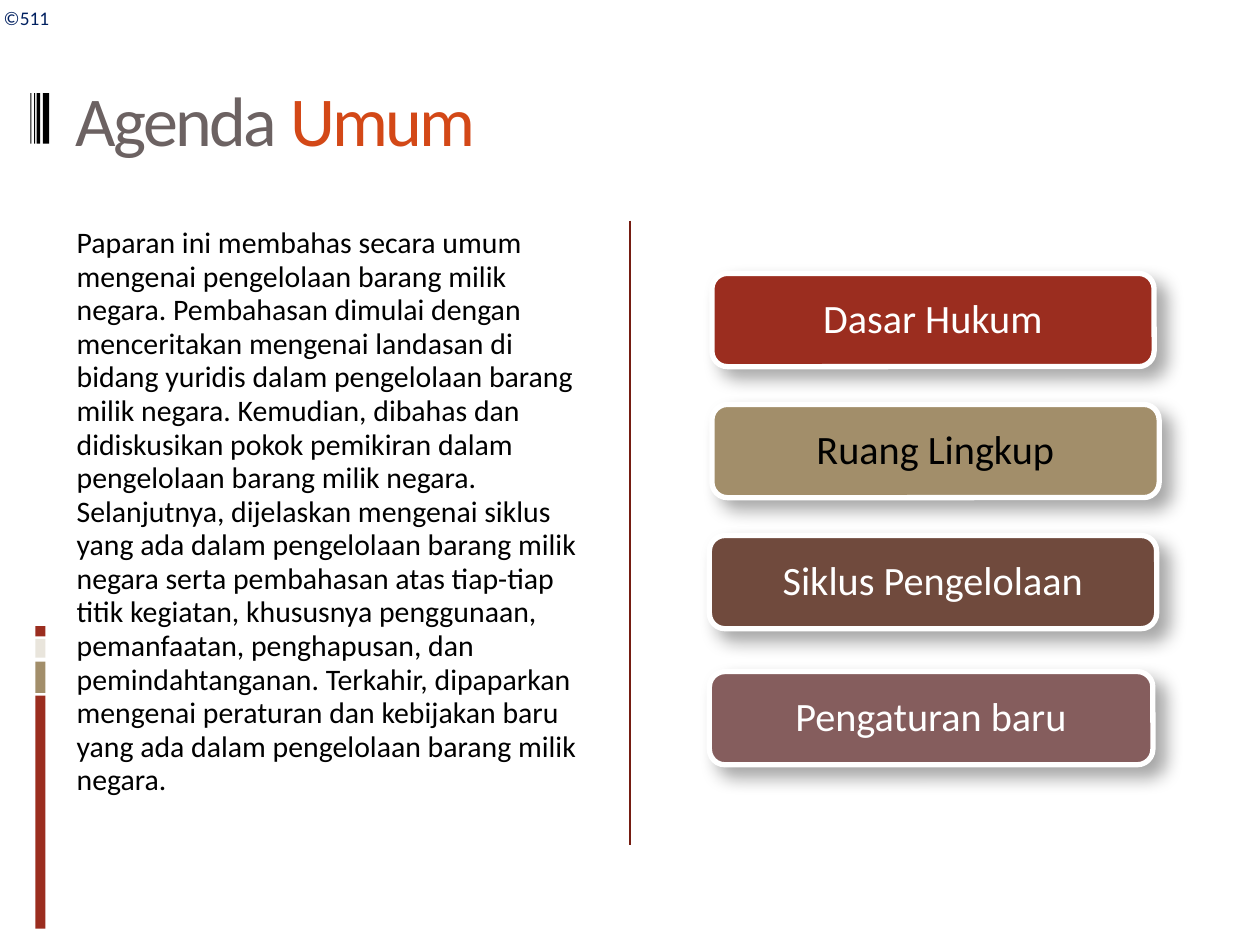
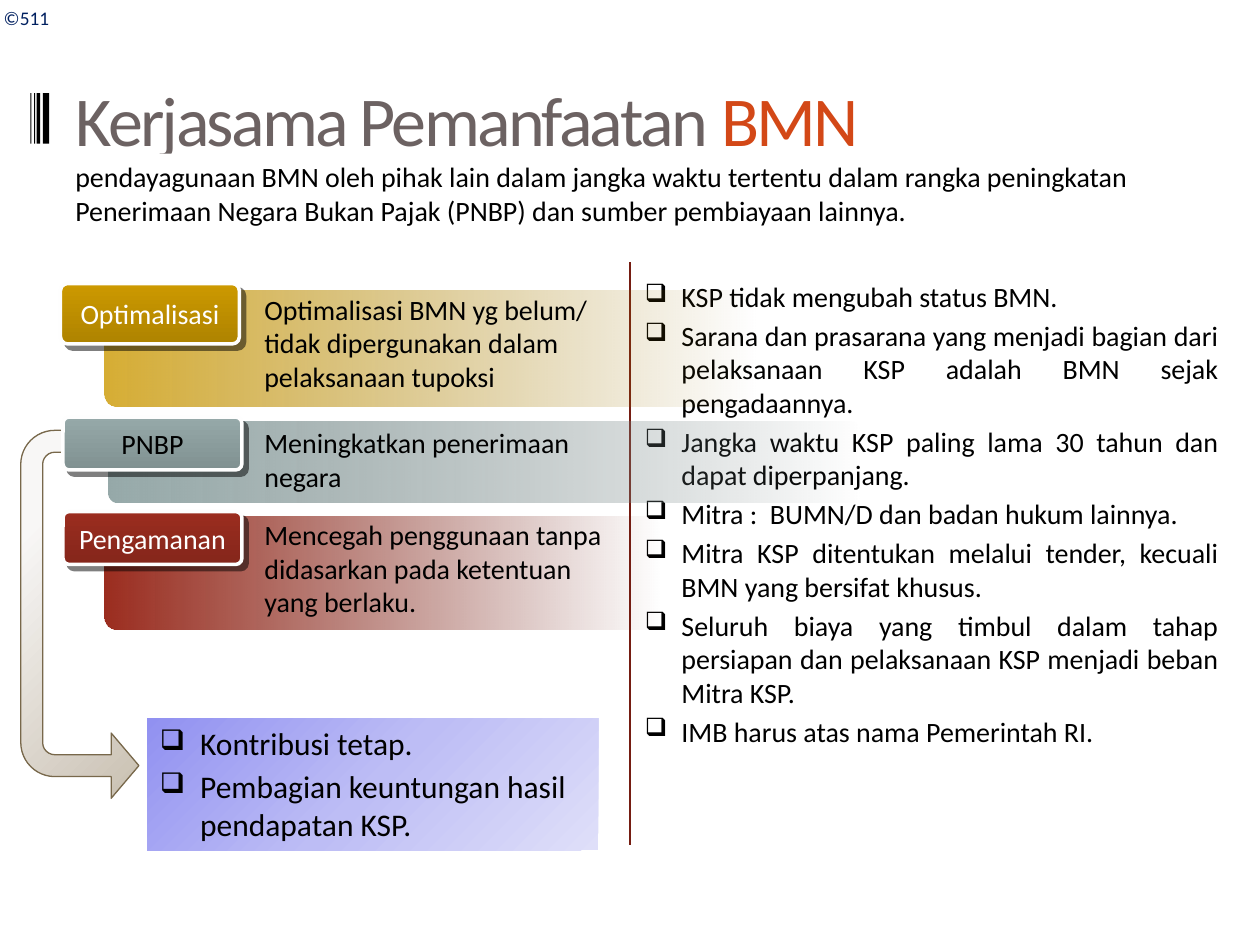
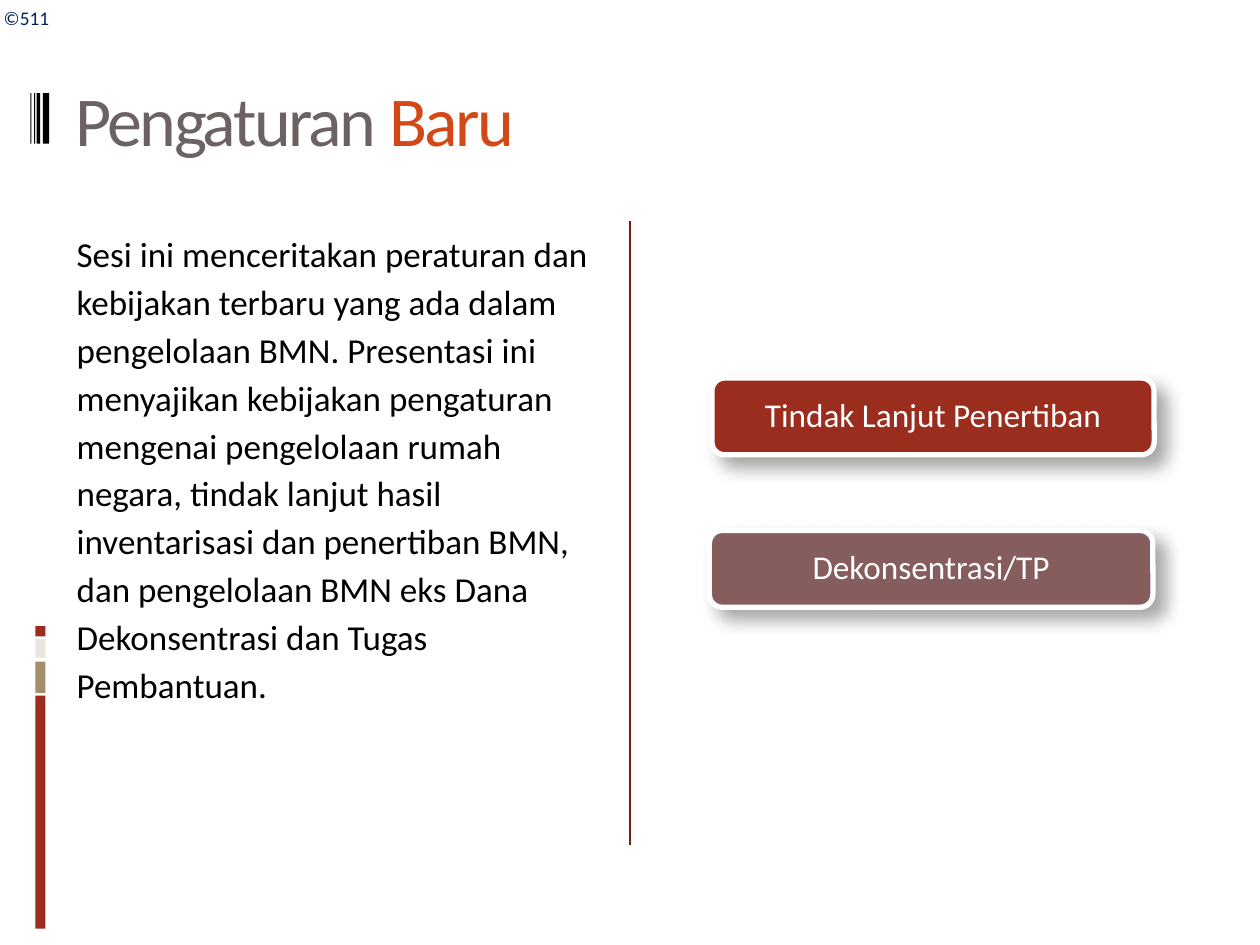
from dataclasses import dataclass
from typing import Optional

from lxml.etree import SubElement
from pptx import Presentation
from pptx.dml.color import RGBColor
from pptx.enum.shapes import MSO_CONNECTOR, MSO_SHAPE
from pptx.enum.text import MSO_ANCHOR, MSO_AUTO_SIZE, PP_ALIGN
from pptx.oxml.ns import qn
from pptx.util import Inches, Pt


@dataclass(frozen=True)
class Theme:
    font: str = "Calibri"
    black: str = "000000"
    white: str = "FFFFFF"
    red: str = "9B2D1F"
    tan: str = "A28E6A"
    cream: str = "E9E5DC"
    brown: str = "704A3D"
    mauve: str = "855D5D"
    gold: str = "CC9900"
    sage: str = "96A9A9"
    title: str = "6C6262"
    accent: str = "D34817"
    divider: str = "751D12"
    copyright: str = "002060"
    chip_edge: str = "FEFEFE"
    arrow_edge: str = "78684B"
    title_size: float = 40
    card_size: float = 23
    small_card_size: float = 19
    list_size: float = 18
    text_size: float = 16
    copyright_size: float = 11


THEME = Theme()


@dataclass(frozen=True)
class Box:
    left: float
    top: float
    width: float
    height: float

    def place(self) -> tuple:
        return tuple(Inches(value) for value in (self.left, self.top, self.width, self.height))


@dataclass(frozen=True)
class Bar:
    box: Box
    color: str


@dataclass(frozen=True)
class Stop:
    position: int
    color: str
    alpha: int = 100


@dataclass(frozen=True)
class Shadow:
    alpha: int
    blur: float
    distance: float


@dataclass(frozen=True)
class Card:
    text: str
    box: Box
    fill: str
    color: str = THEME.white


@dataclass(frozen=True)
class Purpose:
    label: str
    label_color: str
    chip: Box
    chip_end: str
    band: Box
    band_end: str
    color: str
    detail: str
    detail_box: Box
    band_alpha: int = 100


CARD_SHADOW = Shadow(35, 10.2, 8)
CHIP_SHADOW = Shadow(50, 0, 4.2)

SIDE_BARS = [
    Bar(Box(0.28, 5.52, 0.08, 1.85), THEME.red),
    Bar(Box(0.28, 5.25, 0.08, 0.25), THEME.tan),
    Bar(Box(0.28, 5.07, 0.08, 0.15), THEME.cream),
    Bar(Box(0.28, 4.97, 0.08, 0.08), THEME.red),
]
TITLE_BARS = [
    Bar(Box(left, 0.74, width, 0.4), THEME.black)
    for left, width in ((0.34, 0.05), (0.29, 0.03), (0.27, 0.01), (0.24, 0.01))
]

AGENDA_TEXT = (
    "Paparan ini membahas secara umum mengenai pengelolaan barang milik negara. "
    "Pembahasan dimulai dengan menceritakan mengenai landasan di bidang yuridis dalam "
    "pengelolaan barang milik negara. Kemudian, dibahas dan didiskusikan pokok pemikiran "
    "dalam pengelolaan barang milik negara. Selanjutnya, dijelaskan mengenai siklus yang "
    "ada dalam pengelolaan barang milik negara serta pembahasan atas tiap-tiap titik "
    "kegiatan, khususnya penggunaan, pemanfaatan, penghapusan, dan pemindahtanganan. "
    "Terkahir, dipaparkan mengenai peraturan dan kebijakan baru yang ada dalam "
    "pengelolaan barang milik negara."
)
AGENDA_CARDS = [
    Card("Dasar Hukum", Box(5.65, 2.17, 3.51, 0.74), THEME.red),
    Card("Ruang Lingkup", Box(5.65, 3.21, 3.55, 0.74), THEME.tan, THEME.black),
    Card("Siklus Pengelolaan", Box(5.63, 4.25, 3.55, 0.74), THEME.brown),
    Card("Pengaturan baru", Box(5.63, 5.33, 3.52, 0.74), THEME.mauve),
]

PARTNERSHIP_TEXT = (
    "pendayagunaan BMN oleh pihak lain dalam jangka waktu tertentu dalam rangka "
    "peningkatan Penerimaan Negara Bukan Pajak (PNBP) dan sumber pembiayaan lainnya."
)
PARTNERSHIP_RULES = [
    "KSP tidak mengubah status BMN.",
    "Sarana dan prasarana yang menjadi bagian dari pelaksanaan KSP adalah BMN sejak pengadaannya.",
    "Jangka waktu KSP paling lama 30 tahun dan dapat diperpanjang.",
    "Mitra :  BUMN/D dan badan hukum lainnya.",
    "Mitra KSP ditentukan melalui tender, kecuali BMN yang bersifat khusus.",
    "Seluruh biaya yang timbul dalam tahap persiapan dan pelaksanaan KSP menjadi beban Mitra KSP.",
    "IMB harus atas nama Pemerintah RI.",
]
REVENUES = ["Kontribusi tetap.", "Pembagian keuntungan hasil pendapatan KSP."]
PURPOSES = [
    Purpose(
        "PNBP", THEME.black, Box(0.5, 3.31, 1.42, 0.42), "809191",
        Box(0.86, 3.35, 5.97, 0.64), "6B7979", THEME.sage,
        "Meningkatkan penerimaan negara", Box(2, 3.33, 2.92, 0.64),
    ),
    Purpose(
        "Pengamanan", THEME.white, Box(0.5, 4.06, 1.42, 0.42), "85261B",
        Box(0.83, 4.1, 4.41, 0.9), "6F2016", THEME.red,
        "Mencegah penggunaan tanpa didasarkan pada ketentuan yang berlaku.",
        Box(2, 4.06, 2.92, 0.91),
    ),
    Purpose(
        "Optimalisasi", THEME.white, Box(0.48, 2.25, 1.42, 0.48), "AE8300",
        Box(0.83, 2.31, 5.17, 0.92), "926D00", THEME.gold,
        "Optimalisasi BMN yg belum/ tidak dipergunakan dalam pelaksanaan tupoksi",
        Box(2, 2.27, 3.17, 0.91), 80,
    ),
]

REGULATION_TEXT = (
    "Sesi ini menceritakan peraturan dan kebijakan terbaru yang ada dalam pengelolaan BMN. "
    "Presentasi ini menyajikan kebijakan pengaturan mengenai pengelolaan rumah negara, "
    "tindak lanjut hasil inventarisasi dan penertiban BMN, dan pengelolaan BMN eks Dana "
    "Dekonsentrasi dan Tugas Pembantuan."
)
REGULATION_CARDS = [
    Card("Tindak Lanjut Penertiban", Box(5.65, 3, 3.51, 0.61), THEME.red),
    Card("Dekonsentrasi/TP", Box(5.63, 4.21, 3.52, 0.61), THEME.mauve),
]


def format_font(font, size: float, color: str) -> None:
    font.name = THEME.font
    font.size = Pt(size)
    font.color.rgb = RGBColor.from_string(color)


def add_bullet(paragraph, indent: float) -> None:
    properties = paragraph._p.get_or_add_pPr()
    properties.set("marL", str(Inches(indent)))
    properties.set("indent", str(-Inches(indent)))
    SubElement(properties, qn("a:buSzPct"), val="90000")
    SubElement(properties, qn("a:buChar"), char="❑")


def write_text(shape, *texts: str, size: float = THEME.text_size, color: str = THEME.black,
               align=PP_ALIGN.LEFT, anchor=MSO_ANCHOR.TOP, line_spacing: Optional[float] = None,
               gap: float = 0, bullet_indent: float = 0) -> None:
    frame = shape.text_frame
    frame.word_wrap = True
    frame.vertical_anchor = anchor
    for index, text in enumerate(texts):
        paragraph = frame.add_paragraph() if index else frame.paragraphs[0]
        paragraph.alignment = align
        if line_spacing:
            paragraph.line_spacing = line_spacing
        if index:
            paragraph.space_before = Pt(gap)
        if bullet_indent:
            add_bullet(paragraph, bullet_indent)
        run = paragraph.add_run()
        run.text = text
        format_font(run.font, size, color)


def add_text(slide, box: Box, *texts: str, **text_format):
    shape = slide.shapes.add_textbox(*box.place())
    write_text(shape, *texts, **text_format)
    return shape


def add_shape(slide, kind, box: Box, fill: Optional[str] = None, line: Optional[str] = None,
              line_width: float = 0, shadow: Optional[Shadow] = None):
    shape = slide.shapes.add_shape(kind, *box.place())
    if fill:
        shape.fill.solid()
        shape.fill.fore_color.rgb = RGBColor.from_string(fill)
    if line:
        shape.line.color.rgb = RGBColor.from_string(line)
        shape.line.width = Pt(line_width)
    else:
        shape.line.fill.background()
    shape.shadow.inherit = False
    if shadow:
        effects = shape._element.spPr.find(qn("a:effectLst"))
        outer = SubElement(effects, qn("a:outerShdw"), blurRad=str(Pt(shadow.blur)),
                           dist=str(Pt(shadow.distance)), dir="2700000", algn="tl", rotWithShape="0")
        add_color(outer, THEME.black, shadow.alpha)
    return shape


def add_color(parent, color: str, alpha: int) -> None:
    element = SubElement(parent, qn("a:srgbClr"), val=color)
    if alpha < 100:
        SubElement(element, qn("a:alpha"), val=str(alpha * 1000))


def set_gradient(shape, *stops: Stop, angle: int = 0, focus: Optional[tuple] = None) -> None:
    shape.fill.background()
    properties = shape._element.spPr
    empty_fill = properties.find(qn("a:noFill"))
    gradient = SubElement(properties, qn("a:gradFill"), rotWithShape="1")
    properties.replace(empty_fill, gradient)
    stop_list = SubElement(gradient, qn("a:gsLst"))
    for stop in stops:
        element = SubElement(stop_list, qn("a:gs"), pos=str(stop.position * 1000))
        add_color(element, stop.color, stop.alpha)
    if focus:
        circle = SubElement(gradient, qn("a:path"), {"path": "circle"})
        edges = {edge: str(value * 1000) for edge, value in zip("ltrb", focus)}
        SubElement(circle, qn("a:fillToRect"), edges)
    else:
        SubElement(gradient, qn("a:lin"), ang=str(angle * 60000), scaled="1")


def add_divider(slide) -> None:
    divider = slide.shapes.add_connector(
        MSO_CONNECTOR.STRAIGHT, Inches(5), Inches(1.75), Inches(5), Inches(6.71))
    divider.line.color.rgb = RGBColor.from_string(THEME.divider)
    divider.line.width = Pt(0.75)
    SubElement(divider._element.spPr, qn("a:effectLst"))


def set_title(slide, start: str, highlight: str) -> None:
    title = slide.shapes.title
    title.left, title.top, title.width, title.height = Box(0.5, 0.23, 9, 1.42).place()
    frame = title.text_frame
    frame.auto_size = MSO_AUTO_SIZE.NONE
    frame.vertical_anchor = MSO_ANCHOR.MIDDLE
    paragraph = frame.paragraphs[0]
    paragraph.alignment = PP_ALIGN.LEFT
    for text, color in ((f"{start} ", THEME.title), (highlight, THEME.accent)):
        run = paragraph.add_run()
        run.text = text
        format_font(run.font, THEME.title_size, color)
        run._r.get_or_add_rPr().set("spc", "-150")


def start_slide(presentation, start: str, highlight: str, side_bars: bool = True):
    slide = presentation.slides.add_slide(presentation.slide_layouts[5])
    for bar in (SIDE_BARS if side_bars else []) + TITLE_BARS:
        add_shape(slide, MSO_SHAPE.RECTANGLE, bar.box, fill=bar.color)
    copyright_box = add_text(slide, Box(0, 0, 0.54, 0.29), "©511",
                             size=THEME.copyright_size, color=THEME.copyright)
    copyright_box.text_frame.margin_left = Inches(0.03)
    add_divider(slide)
    set_title(slide, start, highlight)
    return slide


def add_card(slide, card: Card, size: float) -> None:
    shape = add_shape(slide, MSO_SHAPE.ROUNDED_RECTANGLE, card.box, fill=card.fill,
                      line=THEME.white, line_width=3, shadow=CARD_SHADOW)
    write_text(shape, card.text, size=size, color=card.color, align=PP_ALIGN.CENTER,
               anchor=MSO_ANCHOR.MIDDLE, line_spacing=0.9)


def add_band(slide, purpose: Purpose) -> None:
    band = add_shape(slide, MSO_SHAPE.ROUNDED_RECTANGLE, purpose.band)
    band.adjustments[0] = 0.115
    set_gradient(band, Stop(0, purpose.color, purpose.band_alpha), Stop(100, purpose.band_end, 0))


def add_chip(slide, purpose: Purpose) -> None:
    chip = add_shape(slide, MSO_SHAPE.ROUNDED_RECTANGLE, purpose.chip,
                     line=THEME.chip_edge, line_width=2, shadow=CHIP_SHADOW)
    chip.adjustments[0] = 0.119
    set_gradient(chip, Stop(0, purpose.color), Stop(100, purpose.chip_end), angle=90)
    write_text(chip, purpose.label, color=purpose.label_color,
               align=PP_ALIGN.CENTER, anchor=MSO_ANCHOR.MIDDLE)
    add_text(slide, purpose.detail_box, purpose.detail)


def add_return_arrow(slide) -> None:
    arrow = add_shape(slide, MSO_SHAPE.U_TURN_ARROW, Box(-0.67, 4.25, 2.92, 1.25),
                      line=THEME.arrow_edge, line_width=0.75)
    arrow.rotation = 90
    arrow._element.spPr.find(qn("a:xfrm")).set("flipV", "1")
    for index, value in enumerate((0.139, 0.207, 0.176, 0.216, 0.75)):
        arrow.adjustments[index] = value
    set_gradient(arrow, Stop(20, "F8F7F6"), Stop(100, "C4BAAA"), focus=(-15, -15, 115, 115))


def build_agenda(presentation) -> None:
    slide = start_slide(presentation, "Agenda", "Umum")
    add_text(slide, Box(0.51, 1.75, 4.32, 4.95), AGENDA_TEXT, size=17, line_spacing=0.94)
    for card in AGENDA_CARDS:
        add_card(slide, card, THEME.card_size)


def build_partnership(presentation) -> None:
    slide = start_slide(presentation, "Kerjasama Pemanfaatan", "BMN", side_bars=False)
    add_return_arrow(slide)
    summary = add_shape(slide, MSO_SHAPE.RECTANGLE, Box(0.5, 1.22, 9.33, 0.86), fill=THEME.white)
    write_text(summary, PARTNERSHIP_TEXT)
    add_text(slide, Box(5.02, 2.17, 4.75, 4.17), *PARTNERSHIP_RULES,
             align=PP_ALIGN.JUSTIFY, gap=3, bullet_indent=0.29)
    for purpose in PURPOSES:
        add_band(slide, purpose)
    for purpose in PURPOSES:
        add_chip(slide, purpose)
    revenue = add_shape(slide, MSO_SHAPE.RECTANGLE, Box(1.17, 5.7, 3.58, 1.05))
    set_gradient(revenue, Stop(0, "9191F1"), Stop(50, "BDBDF5"), Stop(100, "DFDFF9"),
                 focus=(0, 0, 100, 100))
    write_text(revenue, *REVENUES, size=THEME.list_size, gap=3, bullet_indent=0.32)


def build_regulation(presentation) -> None:
    slide = start_slide(presentation, "Pengaturan", "Baru")
    add_text(slide, Box(0.51, 1.75, 4.42, 4.95), REGULATION_TEXT, size=20, line_spacing=1.14)
    for card in REGULATION_CARDS:
        add_card(slide, card, THEME.small_card_size)


def main() -> None:
    presentation = Presentation()
    presentation.slide_width = Inches(10)
    presentation.slide_height = Inches(7.5)
    build_agenda(presentation)
    build_partnership(presentation)
    build_regulation(presentation)
    presentation.save("out.pptx")


if __name__ == "__main__":
    main()
